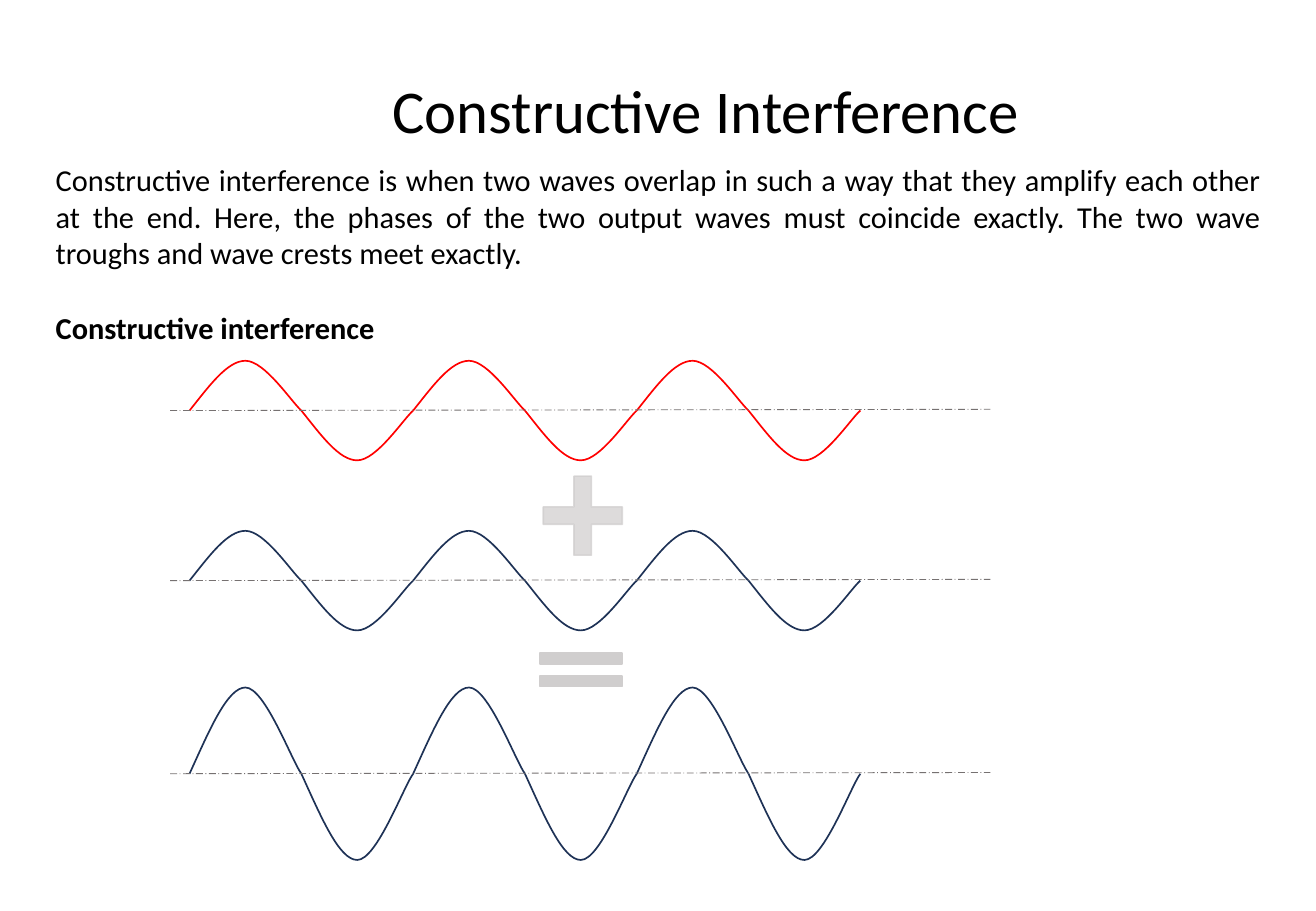
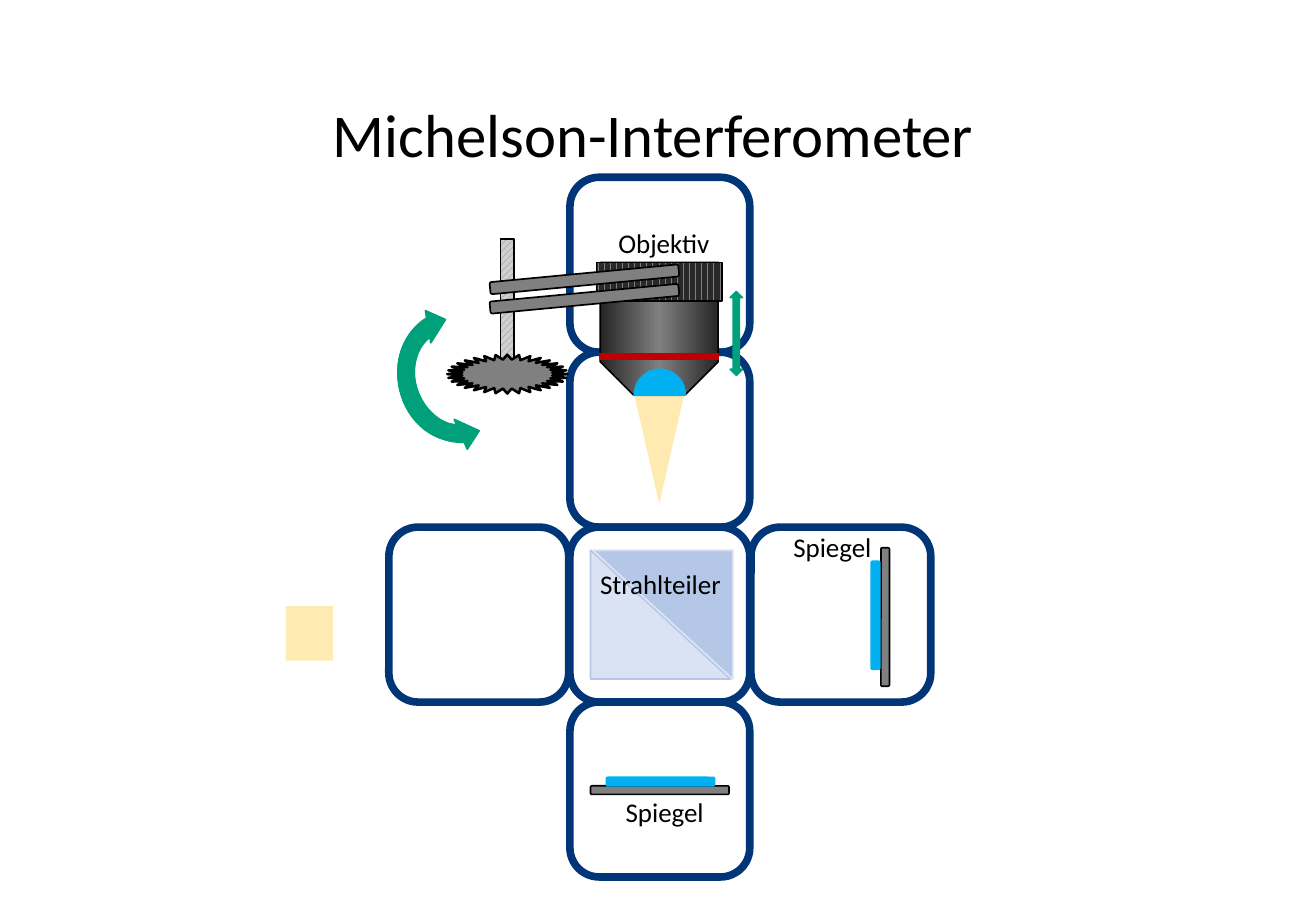
from copy import deepcopy

from lxml import etree
from pptx import Presentation
from pptx import util as u
from pptx.dml.color import RGBColor
from pptx.enum import dml, shapes, text
from pptx.oxml.ns import qn

SCALE = 9144  # EMU per px, 100 px to the inch
FONT = "Calibri"

BLACK = RGBColor(0x00, 0x00, 0x00)
NAVY = RGBColor(0x1E, 0x32, 0x56)
RED = RGBColor(0xFF, 0x00, 0x00)
AXIS_GRAY = RGBColor(0x76, 0x71, 0x71)
LIGHT_GRAY = RGBColor(0xD0, 0xCE, 0xCE)
GRAY = RGBColor(0x80, 0x80, 0x80)
MID_GRAY = RGBColor(0x7F, 0x7F, 0x7F)
DARK_GRAY = RGBColor(0x26, 0x26, 0x26)
KNURL_GRAY = RGBColor(0x29, 0x29, 0x29)
FRAME_BLUE = RGBColor(0x00, 0x35, 0x77)
PALE_BLUE = RGBColor(0xDA, 0xE3, 0xF3)
SOFT_BLUE = RGBColor(0xB4, 0xC7, 0xE7)
GLASS_BLUE = RGBColor(0x00, 0xB0, 0xF0)
GREEN = RGBColor(0x00, 0xA0, 0x7A)
DARK_RED = RGBColor(0xC0, 0x00, 0x00)
BEAM = RGBColor(0xFF, 0xD9, 0x66)

KIND = shapes.MSO_SHAPE
ALIGN = text.PP_ALIGN


def px(*lengths):
    return [u.Emu(round(n * SCALE)) for n in lengths]


class Deck:
    """The presentation, its style and the slide being drawn."""

    def __init__(self, width, height):
        self.prs = Presentation()
        self.prs.slide_width, self.prs.slide_height = px(width, height)

    def new_slide(self, title, box):
        self.slide = self.prs.slides.add_slide(self.prs.slide_layouts[5])
        self.end_group()
        sp = self.slide.shapes.title
        sp.left, sp.top, sp.width, sp.height = px(*box)
        self.set_text(sp, title, 36, wrap=False)

    def begin_group(self):
        self.shapes = self.slide.shapes.add_group_shape().shapes

    def end_group(self):
        self.shapes = self.slide.shapes

    def set_text(self, sp, words, size, wrap=True, align=ALIGN.LEFT, bold=False):
        tf = sp.text_frame
        frame = {"word_wrap": wrap, "vertical_anchor": text.MSO_ANCHOR.TOP,
                 "auto_size": text.MSO_AUTO_SIZE.SHAPE_TO_FIT_TEXT}
        for name, value in frame.items():
            setattr(tf, name, value)
        p = tf.paragraphs[0]
        p.alignment = align
        r = p.add_run()
        r.text = words
        for name, value in {"name": FONT, "size": u.Pt(size), "bold": bold}.items():
            setattr(r.font, name, value)
        r.font.color.rgb = BLACK

    def label(self, box, words, size=16, **style):
        self.set_text(self.shapes.add_textbox(*px(*box)), words, size, **style)

    def paint(self, sp, fill=None, line=None, weight=1, alpha=None):
        """Fill may be a colour, a list of gradient colours or (pattern, fore, back)."""
        sp.shadow.inherit = False
        if fill is None:
            sp.fill.background()
        elif isinstance(fill, RGBColor):
            sp.fill.solid()
            sp.fill.fore_color.rgb = fill
        elif isinstance(fill, list):
            self.gradient(sp, fill)
        else:
            sp.fill.patterned()
            sp.fill.pattern, fore, back = fill
            sp.fill.fore_color.rgb = fore
            sp.fill.back_color.rgb = back
        if line is None:
            sp.line.fill.background()
        else:
            sp.line.color.rgb = line
            sp.line.width = u.Pt(weight)
        if alpha is not None:
            for color in sp._element.spPr.iter(qn("a:srgbClr")):
                etree.SubElement(color, qn("a:alpha"), val=str(alpha * 1000))

    def gradient(self, sp, colors):
        sp.fill.gradient()
        sp.fill.gradient_angle = 0
        stops = sp._element.spPr.find(".//" + qn("a:gsLst"))
        while len(stops) < len(colors):
            stops.append(deepcopy(stops[-1]))
        for i, (stop, color) in enumerate(zip(sp.fill.gradient_stops, colors)):
            stop.color.rgb = color
            stop.position = i / (len(colors) - 1)

    def shape(self, kind, box, fill=None, line=None, rot=0, flip=False, adj=(), **style):
        sp = self.shapes.add_shape(kind, *px(*box))
        sp.rotation = rot
        if flip:
            sp._element.spPr.xfrm.set("flipH", "1")
        for i, value in enumerate(adj):
            sp.adjustments[i] = value
        self.paint(sp, fill, line, **style)

    def curve(self, points, color):
        """Bézier curve through a start point and triples of two handles and an end."""
        builder = self.shapes.build_freeform(*points[0], scale=SCALE)
        builder.add_line_segments(points[1:], close=False)
        sp = builder.convert_to_shape()
        outline = sp._element.spPr.find(".//" + qn("a:path"))
        segments = outline.findall(qn("a:lnTo"))
        for i in range(0, len(segments), 3):
            bezier = etree.SubElement(outline, qn("a:cubicBezTo"))
            for segment in segments[i:i + 3]:
                bezier.append(segment[0])
                outline.remove(segment)
        self.paint(sp, line=color)

    def axis(self, x1, y1, x2, y2):
        c = self.shapes.add_connector(shapes.MSO_CONNECTOR.STRAIGHT, *px(x1, y1, x2, y2))
        c.line.color.rgb = AXIS_GRAY
        c.line.width = u.Pt(0.5)
        c.line.dash_style = dml.MSO_LINE.LONG_DASH_DOT
        etree.SubElement(c._element.spPr, qn("a:effectLst"))

    def wave(self, y, amplitude, color):
        """Three periods, drawn as alternating crests and troughs on an axis."""
        half = 92
        profile = [(0, 0), (16, 0.5), (31, 1), (46, 1), (62, 1), (84, 0.16), (half, 0)]
        self.begin_group()
        for i in range(6):
            sign = 1 if i % 2 else -1
            self.curve([(156 + i * half + dx, round(y + sign * amplitude * dy))
                        for dx, dy in profile], color)
        self.axis(140, y, 815, y - 1)
        self.end_group()


def constructive_interference(d):
    d.new_slide("Constructive Interference", (313, 55, 541, 71))
    d.label((36, 128, 1012, 101),
            "Constructive interference is when two waves overlap in such a way that "
            "they amplify each other at the end. Here, the phases of the two output "
            "waves must coincide exactly. The two wave troughs and wave crests meet "
            "exactly.", 18, align=ALIGN.JUSTIFY)
    d.label((36, 250, 1012, 40), "Constructive interference", 18,
            align=ALIGN.JUSTIFY, bold=True)
    for y, amplitude, color in ((478, 41, NAVY), (338, 41, RED), (637, 71, NAVY)):
        d.wave(y, amplitude, color)
    d.shape(KIND.CROSS, (447, 392, 65, 65), LIGHT_GRAY, LIGHT_GRAY, adj=[0.39], alpha=72)
    d.shape(KIND.MATH_EQUAL, (432, 533, 92, 37), LIGHT_GRAY, LIGHT_GRAY, adj=[0.24, 0.26])


def cube_frames(d):
    col, row = 149, 144
    x, y = 469, 146
    for dx, dy in ((0, 0), (0, 1), (0, 2), (0, 3), (1, 2), (-1, 2)):
        d.shape(KIND.ROUNDED_RECTANGLE, (x + dx * col, y + dy * row, 148, row),
                line=FRAME_BLUE, weight=4.5)


def beam_splitter(d):
    d.begin_group()
    d.shape(KIND.RIGHT_TRIANGLE, (486, 453, 115, 106), PALE_BLUE, SOFT_BLUE)
    d.shape(KIND.RIGHT_TRIANGLE, (488, 453, 115, 106), SOFT_BLUE, PALE_BLUE, rot=180)
    d.label((477, 462, 133, 37), "Strahlteiler", align=ALIGN.CENTER)
    d.end_group()


def objective(d):
    """Objective lens with its focus drive."""
    d.begin_group()
    d.shape(KIND.UP_DOWN_ARROW, (601, 240, 10, 69), GREEN, GREEN)
    d.shape(KIND.CIRCULAR_ARROW, (314, 256, 121, 107), GREEN, GREEN, rot=260.4)
    d.shape(KIND.CIRCULAR_ARROW, (315, 258, 121, 107), GREEN, GREEN, rot=246.4, flip=True)
    d.shape(KIND.ISOSCELES_TRIANGLE, (522, 325, 41, 90), BEAM, rot=180, alpha=50)
    d.shape(KIND.SNIP_2_SAME_RECTANGLE, (494, 216, 97, 109),
            [DARK_GRAY, GRAY, DARK_GRAY], BLACK, rot=180, adj=[0.28, 0])
    d.shape(KIND.PIE, (522, 304, 42, 43), GLASS_BLUE, GLASS_BLUE, rot=180, adj=[0, 107.66])
    d.shape(KIND.RECTANGLE, (494, 291, 97, 5), DARK_RED, DARK_RED)
    d.shape(KIND.RECTANGLE, (412, 197, 11, 111),
            (dml.MSO_PATTERN.WIDE_UPWARD_DIAGONAL, GRAY, LIGHT_GRAY), BLACK)
    d.shape(KIND.STAR_32_POINT, (368, 292, 99, 32), GRAY, BLACK, weight=1.5)
    d.label((499, 182, 98, 36), "Objektiv", wrap=False)
    d.shape(KIND.RECTANGLE, (491, 216, 103, 32),
            (dml.MSO_PATTERN.DARK_VERTICAL, KNURL_GRAY, MID_GRAY), BLACK)
    for y in (225, 241):
        d.shape(KIND.ROUNDED_RECTANGLE, (403, y, 156, 10), GRAY, BLACK, rot=-5.4)
    d.end_group()


def mirrors(d):
    for holder, glass, name in (((725, 451, 7, 114), (717, 462, 7, 89), (643, 432, 85, 37)),
                                ((486, 647, 114, 7), (499, 640, 89, 7), (505, 650, 85, 37))):
        d.shape(KIND.ROUNDED_RECTANGLE, holder, GRAY, BLACK)
        d.shape(KIND.ROUNDED_RECTANGLE, glass, GLASS_BLUE, GLASS_BLUE)
        d.label(name, "Spiegel", wrap=False)


def michelson_interferometer(d):
    d.new_slide("Michelson-Interferometer", (264, 75, 552, 71))
    cube_frames(d)
    beam_splitter(d)
    objective(d)
    mirrors(d)
    d.shape(KIND.RECTANGLE, (235, 499, 39, 45), BEAM, alpha=50)


def main():
    d = Deck(1083, 750)
    constructive_interference(d)
    michelson_interferometer(d)
    d.prs.save("out.pptx")


if __name__ == "__main__":
    main()
